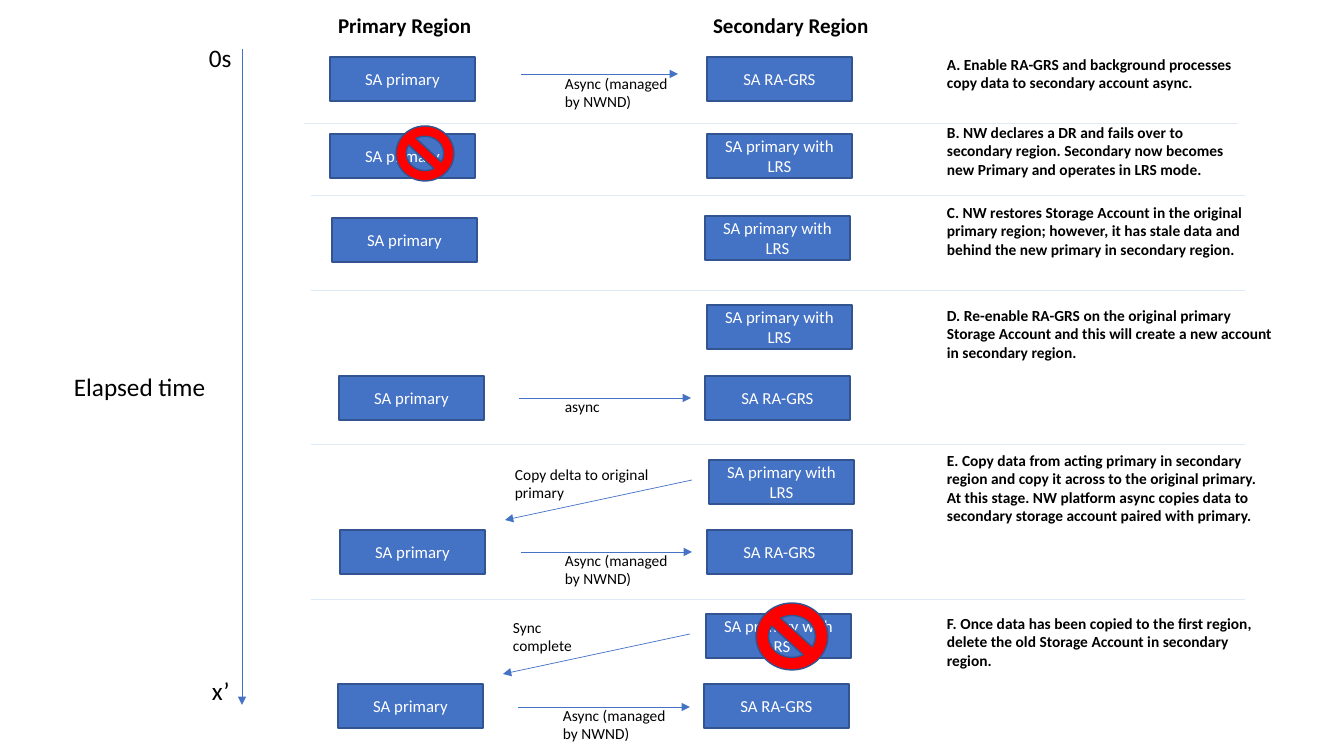
"""Build the storage account failover timeline slide."""
from dataclasses import dataclass
from pptx import Presentation
from pptx import util as u
from pptx.dml.color import RGBColor
from pptx.enum import shapes, text
from pptx.oxml import ns
from lxml import etree


@dataclass(frozen=True)
class Theme:
    font: str = "Calibri"
    blue: str = "4472C4"
    edge: str = "325491"
    rule: str = "DEEBF7"
    red: str = "FF0000"
    white: str = "FFFFFF"
    black: str = "000000"
    head: int = 15
    time: int = 18
    box: int = 12
    note: int = 11
    thin: float = 0.5
    border: int = 1


LOOK = Theme()
SCALE = 914400 / 100.8
WIDE, HIGH = 1344, 756
BOX_W, BOX_H = 145, 44
RULE_W = 934
NOTE_X = 937

HEADS = {1: ("Primary Region", 328, 7, 165, 35),
         3: ("Secondary Region", 703, 7, 178, 35)}
BOXES = {
    "SA primary": [(330, 57), (330, 134), (332, 218), (339, 376),
                   (340, 530), (338, 684)],
    "SA RA-GRS": [(707, 57), (705, 376), (707, 530), (704, 684)],
    "SA primary with LRS": [(707, 134), (705, 216), (707, 305),
                            (709, 460), (706, 614)],
}
BANS = [(396, 126, 58, 55), (756, 603, 72, 67)]
ARROWS = [(242, 49, 242, 705), (521, 74, 678, 74), (519, 398, 691, 398),
          (521, 552, 692, 552), (692, 480, 505, 520),
          (518, 707, 690, 707), (690, 634, 503, 674)]
RULES = [(304, 123), (311, 195), (311, 290), (311, 444), (311, 599)]
ASYNC = "Async (managed by NWND)"
LABELS = [
    ([ASYNC], 555, 69, 137, 47),
    (["async"], 555, 392, 137, 29),
    (["Copy delta to original primary"], 505, 460, 166, 47),
    ([ASYNC], 555, 546, 137, 47),
    (["Sync", "complete"], 503, 613, 166, 47),
    ([ASYNC], 553, 701, 137, 47),
]
TIMES = [("0s", 199, 37, 56, 40), ("Elapsed time", 64, 366, 177, 40),
         ("x’", 202, 670, 56, 40)]
NOTES = [
    ("A. Enable RA-GRS and background processes copy data to secondary "
     "account async.", 50, 322, 47),
    ("B. NW declares a DR and fails over to secondary region. Secondary now "
     "becomes new Primary and operates in LRS mode.", 118, 322, 66),
    ("C. NW restores Storage Account in the original primary region; however, "
     "it has stale data and behind the new primary in secondary region.",
     198, 347, 66),
    ("D. Re-enable RA-GRS on the original primary Storage Account and this "
     "will create a new account in secondary region.", 301, 347, 66),
    ("E. Copy data from acting primary in secondary region and copy it across "
     "to the original primary. At this stage. NW platform async copies data "
     "to secondary storage account paired with primary.", 446, 347, 85),
    ("F. Once data has been copied to the first region, delete the old "
     "Storage Account in secondary region.", 609, 347, 66),
]


def px(*vals):
    return [u.Emu(round(v * SCALE)) for v in vals]


def rgb(tone):
    return RGBColor.from_string(tone)


def write(shape, lines, size, tone=LOOK.black, bold=False,
          align=text.PP_ALIGN.LEFT, anchor=text.MSO_ANCHOR.TOP):
    frame = shape.text_frame
    frame.word_wrap = True
    frame.auto_size = text.MSO_AUTO_SIZE.NONE
    frame.vertical_anchor = anchor
    for i, line in enumerate(lines):
        para = frame.add_paragraph() if i else frame.paragraphs[0]
        para.alignment = align
        para.space_before = u.Pt(0)
        run = para.add_run()
        run.text = line
        font = run.font
        font.name, font.size, font.bold = LOOK.font, u.Pt(size), bold
        font.color.rgb = rgb(tone)


def block(slide, kind, spot, fill):
    shape = slide.shapes.add_shape(kind, *px(*spot))
    shape.shadow.inherit = False
    shape.fill.solid()
    shape.fill.fore_color.rgb = rgb(fill)
    shape.line.color.rgb = rgb(LOOK.edge)
    shape.line.width = u.Pt(LOOK.border)
    return shape


def link(slide, ends, tone, arrow=False):
    line = slide.shapes.add_connector(shapes.MSO_CONNECTOR.STRAIGHT, *px(*ends))
    line.line.color.rgb = rgb(tone)
    line.line.width = u.Pt(LOOK.thin)
    if arrow:
        etree.SubElement(line.line._get_or_add_ln(), ns.qn("a:tailEnd"),
                         type="triangle")
    etree.SubElement(line._element.spPr, ns.qn("a:effectLst"))


def label(slide, lines, spot, size, bold=False):
    write(slide.shapes.add_textbox(*px(*spot)), lines, size, bold=bold)


def main():
    deck = Presentation()
    deck.slide_width, deck.slide_height = px(WIDE, HIGH)
    slide = deck.slides.add_slide(deck.slide_layouts.get_by_name("Comparison"))
    for holder in list(slide.placeholders):
        key = holder.placeholder_format.idx
        if key in HEADS:
            name, *spot = HEADS[key]
            holder.left, holder.top, holder.width, holder.height = px(*spot)
            write(holder, [name], LOOK.head, bold=True)
        else:
            holder._element.getparent().remove(holder._element)
    for name, spots in BOXES.items():
        for x, y in spots:
            box = block(slide, shapes.MSO_SHAPE.RECTANGLE,
                        (x, y, BOX_W, BOX_H), LOOK.blue)
            write(box, [name], LOOK.box, LOOK.white,
                  align=text.PP_ALIGN.CENTER, anchor=text.MSO_ANCHOR.MIDDLE)
    for spot in BANS:
        block(slide, shapes.MSO_SHAPE.NO_SYMBOL, spot, LOOK.red)
    for ends in ARROWS:
        link(slide, ends, LOOK.blue, arrow=True)
    for x, y in RULES:
        link(slide, (x, y, x + RULE_W, y), LOOK.rule)
    for lines, *spot in LABELS:
        label(slide, lines, spot, LOOK.note)
    for mark, *spot in TIMES:
        label(slide, [mark], spot, LOOK.time)
    for note, y, w, h in NOTES:
        label(slide, [note], (NOTE_X, y, w, h), LOOK.note, bold=True)
    deck.save("out.pptx")


if __name__ == "__main__":
    main()
